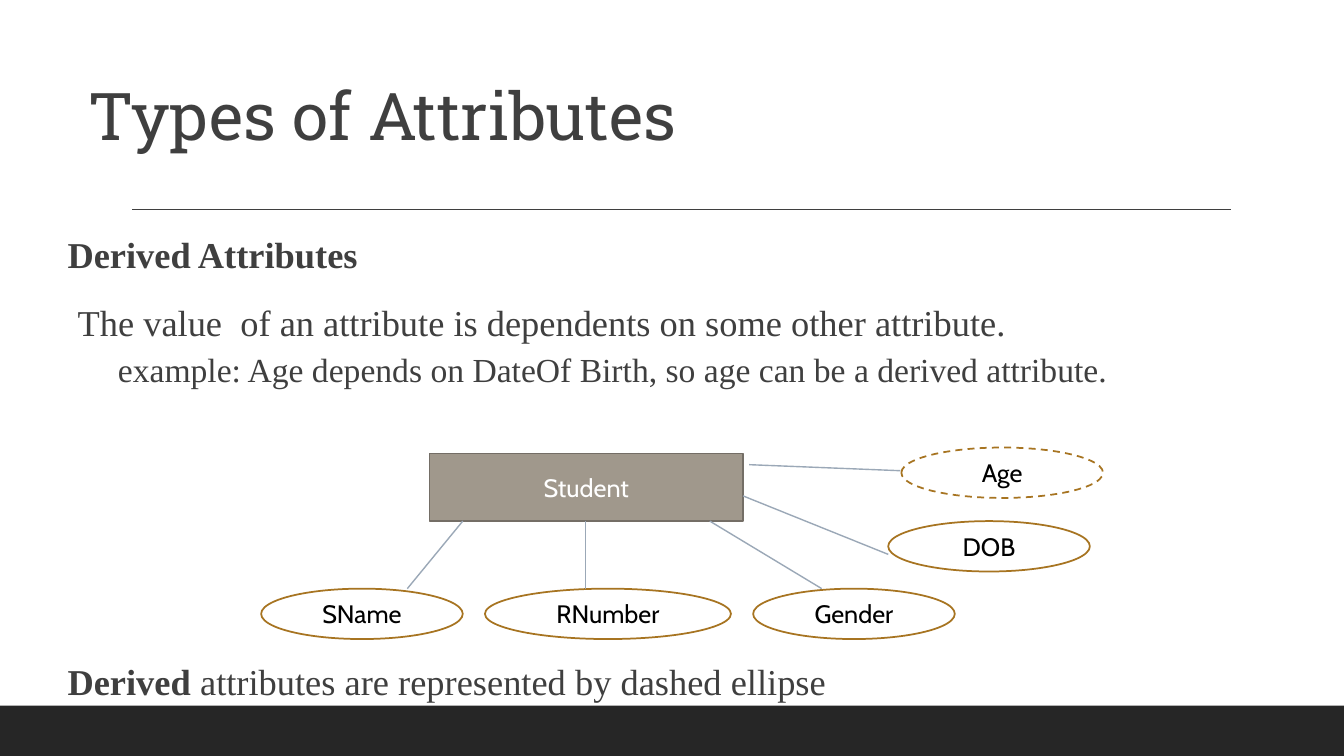
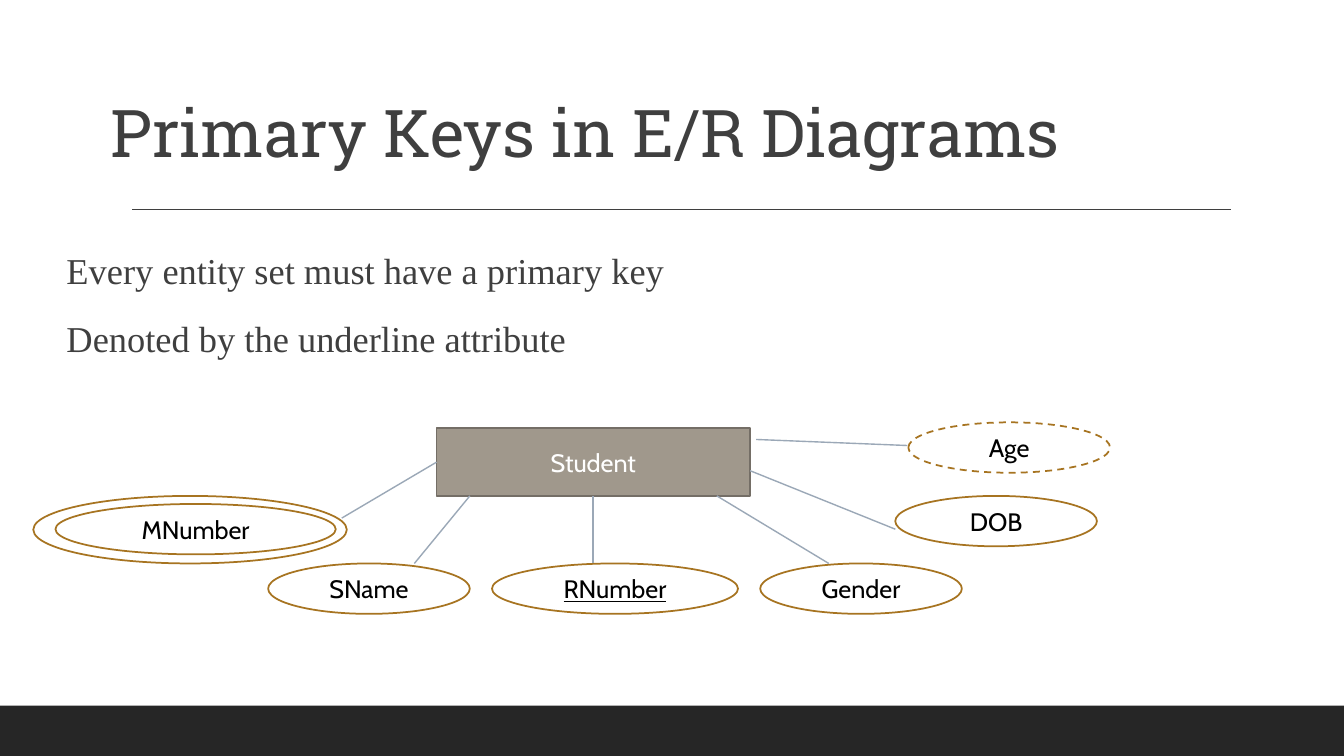
from pptx import Presentation
from pptx.dml.color import RGBColor
from pptx.enum.dml import MSO_LINE
from pptx.enum.shapes import MSO_CONNECTOR, MSO_SHAPE
from pptx.enum.text import MSO_ANCHOR, PP_ALIGN
from pptx.oxml.ns import qn
from pptx.util import Inches, Pt
from lxml.etree import SubElement

INK = RGBColor(0x3F, 0x3F, 0x3F)
BAND = RGBColor(0x26, 0x26, 0x26)
STONE = RGBColor(0xA0, 0x98, 0x8C)
STONE_EDGE = RGBColor(0x74, 0x6E, 0x66)
AMBER = RGBColor(0xA7, 0x74, 0x21)
LINK = RGBColor(0x9B, 0xA8, 0xB7)
BLACK = RGBColor(0x00, 0x00, 0x00)
WHITE = RGBColor(0xFF, 0xFF, 0xFF)

TITLE_FONT = "Roboto Slab"
BODY_FONT = "Times New Roman"
LABEL_FONT = "Cabin"

ENTITY_WIDTH, ENTITY_HEIGHT = 3.11, 0.67
OVAL_WIDTH, OVAL_HEIGHT = 2, 0.5
WIDE_OVAL = 2.44
OVAL_GAP = 0.22


class Lesson:
    def __init__(self):
        self.deck = Presentation()
        self.deck.slide_width = Inches(13.33)
        self.deck.slide_height = Inches(7.5)
        self.page = None

    def new_page(self, title, left, top):
        self.page = self.deck.slides.add_slide(self.deck.slide_layouts[6])
        self.shape(MSO_SHAPE.RECTANGLE, 0, 7, 13.33, 0.5, fill=BAND)
        self.line((1.31, 2.08), (12.21, 2.08), INK)
        frame = self.text_frame(left, top, 12, 1.25, 0.1)
        frame.vertical_anchor = MSO_ANCHOR.BOTTOM
        para = frame.paragraphs[0]
        para.text = title
        para.line_spacing = 0.9
        self.set_font(para.font, TITLE_FONT, 47, INK)

    def set_font(self, font, name, size, color):
        font.name = name
        font.size = Pt(size)
        font.color.rgb = color

    def text_frame(self, left, top, width, height, side_margin):
        box = self.page.shapes.add_textbox(
            Inches(left), Inches(top), Inches(width), Inches(height))
        frame = box.text_frame
        frame.word_wrap = True
        frame.margin_left = frame.margin_right = Inches(side_margin)
        return frame

    def body(self, left, top, height, paragraphs):
        frame = self.text_frame(left, top, 12, height, 0)
        for index, (spans, size, indent, spacing, before) in enumerate(paragraphs):
            para = frame.add_paragraph() if index else frame.paragraphs[0]
            para.line_spacing = spacing
            para.space_before = Pt(before)
            para._p.get_or_add_pPr().set("marL", str(Inches(indent)))
            self.set_font(para.font, BODY_FONT, size, INK)
            for text, bold in spans:
                span = para.add_run()
                span.text = text
                span.font.bold = bold

    def shape(self, kind, left, top, width, height, fill=None, edge=None):
        shape = self.page.shapes.add_shape(
            kind, Inches(left), Inches(top), Inches(width), Inches(height))
        shape.shadow.inherit = False
        if fill is None:
            shape.fill.background()
        else:
            shape.fill.solid()
            shape.fill.fore_color.rgb = fill
        if edge is None:
            shape.line.fill.background()
        else:
            shape.line.color.rgb = edge
            shape.line.width = Pt(1.25)
        return shape

    def label(self, shape, text, color, underline=False):
        frame = shape.text_frame
        frame.word_wrap = True
        frame.vertical_anchor = MSO_ANCHOR.MIDDLE
        para = frame.paragraphs[0]
        para.text = text
        para.alignment = PP_ALIGN.CENTER
        self.set_font(para.font, LABEL_FONT, 18, color)
        if underline:
            para.font.underline = True

    def entity(self, text, left, top):
        shape = self.shape(MSO_SHAPE.RECTANGLE, left, top,
                           ENTITY_WIDTH, ENTITY_HEIGHT, STONE, STONE_EDGE)
        self.label(shape, text, WHITE)
        return shape

    def attribute(self, text, left, top, width=OVAL_WIDTH, dashed=False, key=False):
        oval = self.shape(MSO_SHAPE.OVAL, left, top, width, OVAL_HEIGHT, edge=AMBER)
        self.label(oval, text, BLACK, key)
        if dashed:
            oval.line.dash_style = MSO_LINE.DASH

    def multivalued(self, text, left, top):
        self.attribute(text, left + 0.22, top + 0.08, 2.78)
        self.shape(MSO_SHAPE.OVAL, left, top, ENTITY_WIDTH, ENTITY_HEIGHT, edge=AMBER)

    def line(self, start, end, color=LINK):
        line = self.page.shapes.add_connector(
            MSO_CONNECTOR.STRAIGHT, *(Inches(value) for value in (*start, *end)))
        line.line.color.rgb = color
        line.line.width = Pt(1)
        SubElement(line._element.spPr, qn("a:effectLst"))
        return line

    def student_diagram(self, left, top, key=False):
        student = self.entity("Student", left, top)
        row_left = left - 1.67
        row_top = top + 2 * ENTITY_HEIGHT
        for text, width in (("SName", OVAL_WIDTH), ("RNumber", WIDE_OVAL),
                            ("Gender", OVAL_WIDTH)):
            self.attribute(text, row_left, row_top, width,
                           key=key and text == "RNumber")
            row_left += width + OVAL_GAP
        self.attribute("DOB", left + 4.55, top + ENTITY_HEIGHT)
        self.attribute("Age", left + 4.68, top - 0.06, dashed=True)
        for x1, y1, x2, y2 in ((0.33, 0.67, -0.22, 1.34), (1.55, 0.67, 1.55, 1.34),
                               (2.78, 0.67, 3.89, 1.34), (3.11, 0.42, 4.55, 1),
                               (3.17, 0.11, 4.67, 0.17)):
            self.line((left + x1, top + y1), (left + x2, top + y2))
        return student


def derived_attributes(lesson):
    lesson.new_page("Types of Attributes", 0.78, 0.33)
    lesson.body(0.67, 2.21, 1.9, [
        ([("Derived Attributes", True)], 26, 0, 1.1, 0),
        ([("The value  of an attribute is dependents on some other attribute.", False)],
         26, 0.1, 1.1, 14),
        ([("example: Age depends on DateOf Birth, so age can be a derived attribute.",
           False)], 24, 0.5, 1, 4),
    ])
    lesson.student_diagram(4.26, 4.5)
    lesson.body(0.67, 6.45, 0.6, [
        ([("Derived", True), (" attributes are represented by dashed ellipse", False)],
         26, 0, 1.1, 0),
    ])


def primary_keys(lesson):
    lesson.new_page("Primary Keys in E/R Diagrams", 1, 0.5)
    lesson.body(0.56, 2.37, 1.4, [
        ([("Every entity set must have a primary key", False)], 26, 0.1, 1.1, 0),
        ([("Denoted by the underline attribute", False)], 26, 0.1, 1.1, 14),
    ])
    student = lesson.student_diagram(4.33, 4.25, key=True)
    lesson.multivalued("MNumber", 0.33, 4.92)
    lesson.line((4.33, 4.58), (3.39, 5.14)).begin_connect(student, 1)


def main():
    lesson = Lesson()
    derived_attributes(lesson)
    primary_keys(lesson)
    lesson.deck.save("out.pptx")


if __name__ == "__main__":
    main()
